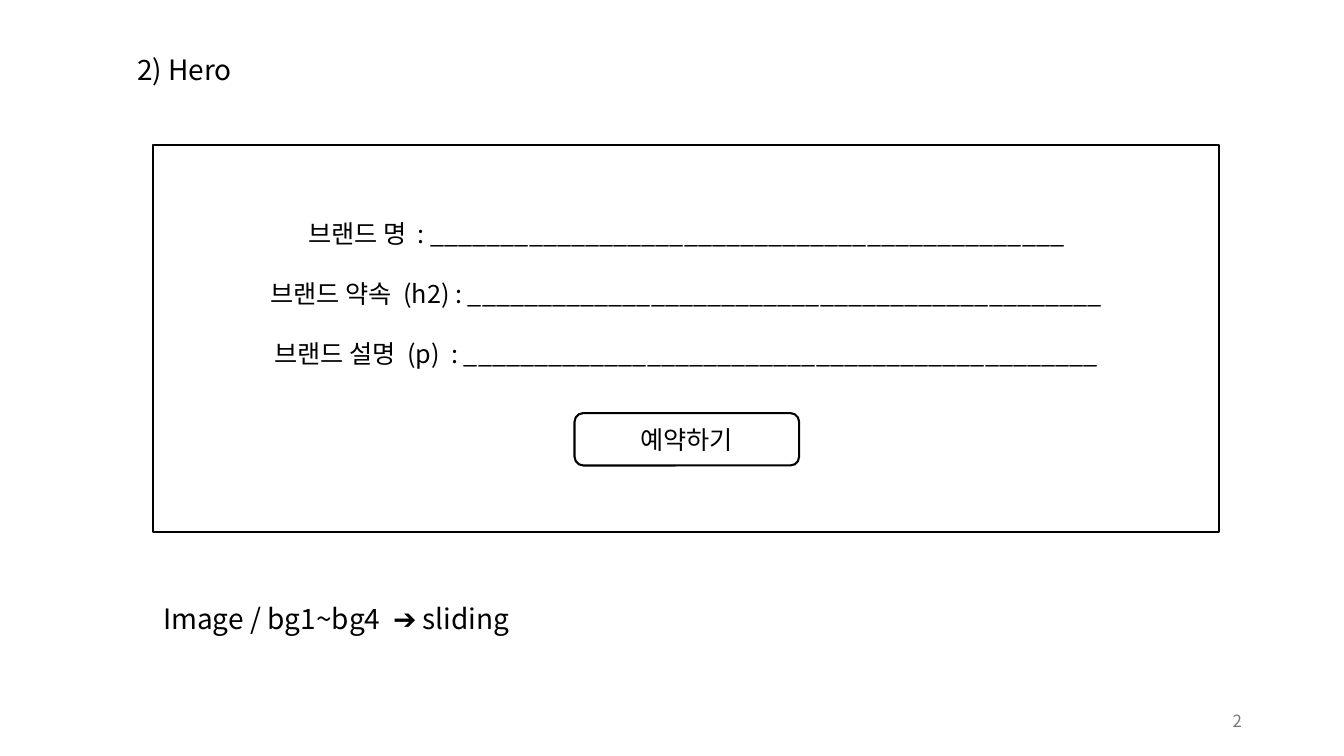
from lxml import etree
from pptx import Presentation
from pptx.dml.color import RGBColor
from pptx.enum.shapes import MSO_SHAPE
from pptx.enum.text import MSO_ANCHOR, MSO_AUTO_SIZE, PP_ALIGN
from pptx.oxml.ns import qn
from pptx.util import Cm, Pt

RECT, ROUNDED = MSO_SHAPE.RECTANGLE, MSO_SHAPE.ROUNDED_RECTANGLE
TOP, MIDDLE = MSO_ANCHOR.TOP, MSO_ANCHOR.MIDDLE
LEFT, CENTER, RIGHT = PP_ALIGN.LEFT, PP_ALIGN.CENTER, PP_ALIGN.RIGHT
NO_FIT = MSO_AUTO_SIZE.NONE

COLORS = {"white": "FFFFFF", "black": "000000", "gray": "797979"}
FONT = "Noto Sans CJK KR"
BLANK = "_" * 45
LINE = Pt(21.6)


def write(sp, lines, size, align=CENTER, color="black", anchor=MIDDLE):
    tf = sp.text_frame
    tf.text = "\n".join(lines)
    tf.word_wrap = True
    tf.auto_size = NO_FIT
    tf.vertical_anchor = anchor
    for p in tf.paragraphs:
        p.alignment = align
        p.font.size = Pt(size)
        p.font.color.rgb = RGBColor.from_string(COLORS[color])
        p.font.name = FONT
        props = p._p.get_or_add_pPr().get_or_add_defRPr()
        etree.SubElement(props, qn("a:ea")).set("typeface", FONT)
    return tf


def add_outlined(kind, left, top, width, height):
    sp = s.shapes.add_shape(kind, Cm(left), Cm(top), Cm(width), Cm(height))
    sp.shadow.inherit = False
    sp.fill.solid()
    sp.fill.fore_color.rgb = RGBColor.from_string(COLORS["white"])
    sp.line.color.rgb = RGBColor.from_string(COLORS["black"])
    sp.line.width = Pt(1.5)
    return sp


prs = Presentation()
prs.slide_width, prs.slide_height = Cm(33.87), Cm(19.05)
s = prs.slides.add_slide(prs.slide_layouts[5])

title = s.shapes.title
title.left, title.top, title.width, title.height = Cm(2.49), Cm(1.19), Cm(4.32), Cm(1.12)
write(title, ["2) Hero"], 20)

hero = add_outlined(RECT, 3.86, 3.66, 26.87, 9.75)
labels = ["브랜드 명  : ", "브랜드 약속  (h2) : ", "브랜드 설명  (p)  : "]
tf = write(hero, [label + BLANK for label in labels], 18, anchor=TOP)
tf.margin_top = Cm(1.83)
for p in tf.paragraphs:
    p.line_spacing = LINE
    p.space_after = LINE

button = add_outlined(ROUNDED, 14.48, 10.41, 5.66, 1.32)
write(button, ["예약하기"], 18)

note = s.shapes.add_textbox(Cm(3.86), Cm(15.01), Cm(11.56), Cm(1.12))
write(note, ["Image / bg1~bg4  ➔ sliding"], 20, LEFT)

number = s.shapes.add_textbox(Cm(23.93), Cm(17.65), Cm(7.62), Cm(1.02))
write(number, ["2"], 12, RIGHT, "gray")

prs.save("out.pptx")
